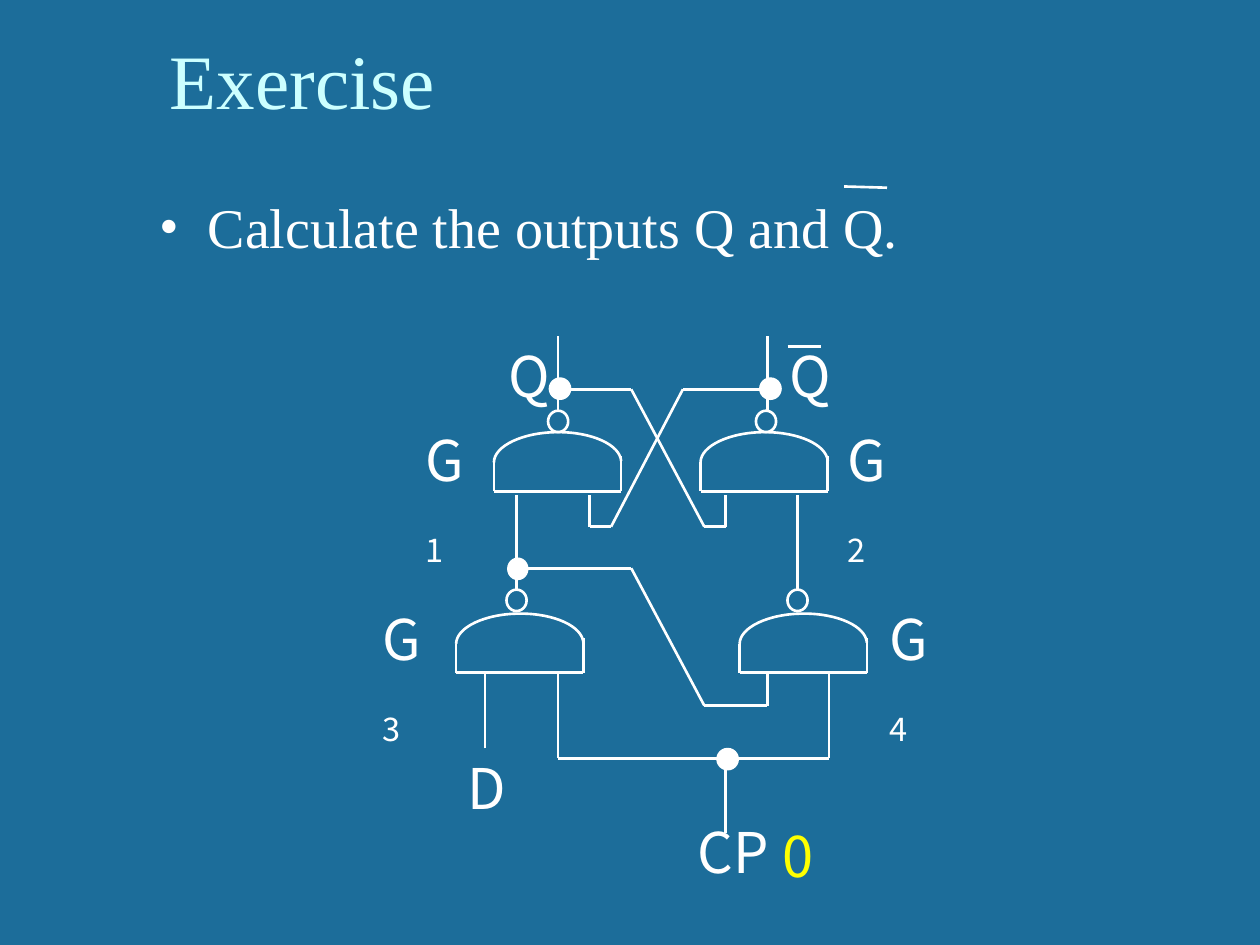
from dataclasses import dataclass
from itertools import pairwise
from typing import NamedTuple

from lxml.etree import SubElement
from pptx import Presentation
from pptx.dml.color import RGBColor
from pptx.enum.shapes import MSO_CONNECTOR as Connector, MSO_SHAPE as Preset
from pptx.enum.text import MSO_ANCHOR as Anchor, MSO_AUTO_SIZE as AutoSize
from pptx.oxml.ns import qn
from pptx.util import Inches, Pt


@dataclass(frozen=True)
class Theme:
    background: RGBColor = RGBColor(0x1C, 0x6D, 0x9A)
    title: RGBColor = RGBColor(0xCC, 0xFF, 0xFF)
    ink: RGBColor = RGBColor(0xFF, 0xFF, 0xFF)
    value: RGBColor = RGBColor(0xFF, 0xFF, 0x00)
    serif: str = "Times New Roman"
    sans: str = "Noto Sans CJK SC"
    title_size: Pt = Pt(44)
    text_size: Pt = Pt(32)
    wire_width: Pt = Pt(1.5)
    dot_width: Pt = Pt(0.75)


THEME = Theme()


class Point(NamedTuple):
    x: float
    y: float


class Circle(NamedTuple):
    left: float
    top: float
    width: float
    height: float = 0.17


class Label(NamedTuple):
    text: str
    left: float
    top: float
    width: float
    subscript: str = ""
    color: RGBColor = THEME.ink


GATE_WIDTH, GATE_HEIGHT, DOME_HEIGHT = 1.01, 0.47, 0.24
# Two cubic curves sharing their middle point, relative to the gate's top left.
DOME = [Point(0, 0.24), Point(0, 0.11), Point(0.23, 0), Point(0.51, 0),
        Point(0.78, 0), Point(1, 0.1), Point(1.01, 0.23)]

GATES = [Point(5.56, 3.43), Point(5.87, 4.87), Point(3.92, 3.43), Point(3.62, 4.87)]

BUBBLES = [Circle(6, 3.26, 0.16), Circle(4.35, 3.26, 0.16),
           Circle(4.02, 4.68, 0.16), Circle(6.25, 4.68, 0.16)]

JUNCTIONS = [Circle(4.03, 4.43, 0.16), Circle(4.36, 3, 0.17),
             Circle(6.03, 3, 0.17), Circle(5.69, 5.94, 0.17)]

WIRES = [
    # overbars
    [(6.7, 1.48), (7.04, 1.49)],
    [(6.25, 2.75), (6.52, 2.75)],
    # outputs
    [(4.43, 3.26), (4.43, 2.67)],
    [(6.09, 3.26), (6.09, 2.67)],
    # cross coupling
    [(4.43, 3.09), (5.01, 3.09), (5.59, 4.18), (5.76, 4.18)],
    [(6.09, 3.09), (5.42, 3.09), (4.85, 4.18)],
    [(4.68, 4.18), (4.85, 4.18)],
    # upper gate input stubs
    *([(x, 3.93), (x, 4.18)] for x in (4.1, 4.68, 5.76, 6.33)),
    # lower gates to upper gates
    [(4.1, 4.68), (4.1, 4.09)],
    [(6.33, 4.68), (6.33, 4.09)],
    [(5.01, 4.51), (4.1, 4.51)],
    [(5.01, 4.51), (5.59, 5.6), (6.09, 5.6)],
    [(6.09, 5.35), (6.09, 5.6)],
    # data and clock inputs
    [(3.85, 5.94), (3.85, 5.35)],
    [(4.43, 5.35), (4.43, 6.02), (6.58, 6.02), (6.58, 5.35)],
    [(5.76, 6.02), (5.76, 6.61)],
]

LABELS = [
    Label("Q", 6.17, 2.66, 0.42),
    Label("Q", 3.94, 2.66, 0.42),
    Label("D", 3.61, 5.93, 0.42),
    Label("CP", 5.44, 6.44, 0.91),
    Label("G", 3.28, 3.33, 0.57, "1"),
    Label("G", 6.63, 3.33, 0.57, "2"),
    Label("G", 2.94, 4.75, 0.57, "3"),
    Label("G", 6.96, 4.75, 0.57, "4"),
    Label("0", 6.11, 6.47, 0.43, color=THEME.value),
]


def set_format(target, values: dict) -> None:
    for name, value in values.items():
        setattr(target, name, value)


def add_run(paragraph, text: str, font: str, size: Pt, color: RGBColor):
    run = paragraph.add_run()
    run.text = text
    set_format(run.font, {"name": font, "size": size})
    run.font.color.rgb = color
    return run


def add_text_frame(slide, left: float, top: float, width: float, height: float,
                   **values):
    box = slide.shapes.add_textbox(*map(Inches, (left, top, width, height)))
    set_format(box.text_frame, {"word_wrap": True, **values})
    return box.text_frame


def add_heading(slide) -> None:
    frame = add_text_frame(slide, 1.25, 0.21, 8.5, 0.83,
                           vertical_anchor=Anchor.BOTTOM)
    add_run(frame.paragraphs[0], "Exercise", THEME.serif,
            THEME.title_size, THEME.title)


def add_task(slide) -> None:
    paragraph = add_text_frame(slide, 1.17, 1.48, 8.58, 4.5).paragraphs[0]
    properties = paragraph._p.get_or_add_pPr()
    indent = Inches(0.38)
    properties.set("marL", str(indent))
    properties.set("indent", str(-indent))
    SubElement(properties, qn("a:buFont")).set("typeface", THEME.serif)
    SubElement(properties, qn("a:buChar")).set("char", "•")
    add_run(paragraph, "Calculate the outputs Q and Q.", THEME.serif,
            THEME.text_size, THEME.ink)


def add_label(slide, label: Label) -> None:
    frame = add_text_frame(slide, label.left, label.top, label.width, 0.63,
                           auto_size=AutoSize.SHAPE_TO_FIT_TEXT)
    style = (THEME.sans, THEME.text_size, label.color)
    paragraph = frame.paragraphs[0]
    add_run(paragraph, label.text, *style)
    if label.subscript:
        run = add_run(paragraph, label.subscript, *style)
        run._r.get_or_add_rPr().set("baseline", "-25000")


def add_wire(shapes, points: list) -> None:
    """Draw one straight connector between each two neighbouring points."""
    for start, end in pairwise(points):
        wire = shapes.add_connector(Connector.STRAIGHT,
                                    *map(Inches, (*start, *end)))
        wire.line.color.rgb = THEME.ink
        wire.line.width = THEME.wire_width
        SubElement(wire._element.spPr, qn("a:effectLst"))


def style_outline(shape, width: Pt, filled: bool = False) -> None:
    shape.shadow.inherit = False
    shape.line.color.rgb = THEME.ink
    shape.line.width = width
    if filled:
        shape.fill.solid()
        shape.fill.fore_color.rgb = THEME.ink
    else:
        shape.fill.background()


def add_circle(slide, circle: Circle, width: Pt, filled: bool = False) -> None:
    shape = slide.shapes.add_shape(Preset.OVAL, *map(Inches, circle))
    style_outline(shape, width, filled)


def bend_segments(shape) -> None:
    """Turn each three line segments of a freeform into one cubic curve."""
    segments = list(shape._element.iter(qn("a:lnTo")))
    outline = segments[0].getparent()
    for start in range(0, len(segments), 3):
        curve = SubElement(outline, qn("a:cubicBezTo"))
        for segment in segments[start:start + 3]:
            curve.append(segment[0])
            outline.remove(segment)


def add_gate(slide, gate: Point) -> None:
    shapes = slide.shapes.add_group_shape().shapes
    vertices = [(Inches(gate.x + p.x), Inches(gate.y + p.y)) for p in DOME]
    builder = shapes.build_freeform(*vertices[0])
    builder.add_line_segments(vertices[1:], close=False)
    dome = builder.convert_to_shape()
    bend_segments(dome)
    style_outline(dome, THEME.wire_width)

    right, bottom = gate.x + GATE_WIDTH, gate.y + GATE_HEIGHT
    add_wire(shapes, [(gate.x, gate.y + DOME_HEIGHT), (gate.x, bottom),
                      (right, bottom), (right, gate.y + 0.19)])


def main() -> None:
    presentation = Presentation()
    set_format(presentation, {"slide_width": Inches(10), "slide_height": Inches(7.5)})
    slide = presentation.slides.add_slide(presentation.slide_layouts[6])
    slide.background.fill.solid()
    slide.background.fill.fore_color.rgb = THEME.background

    add_heading(slide)
    add_task(slide)
    for bubble in BUBBLES:
        add_circle(slide, bubble, THEME.wire_width)
    for wire in WIRES:
        add_wire(slide.shapes, wire)
    for label in LABELS:
        add_label(slide, label)
    for junction in JUNCTIONS:
        add_circle(slide, junction, THEME.dot_width, filled=True)
    for gate in GATES:
        add_gate(slide, gate)
    presentation.save("out.pptx")


if __name__ == "__main__":
    main()
